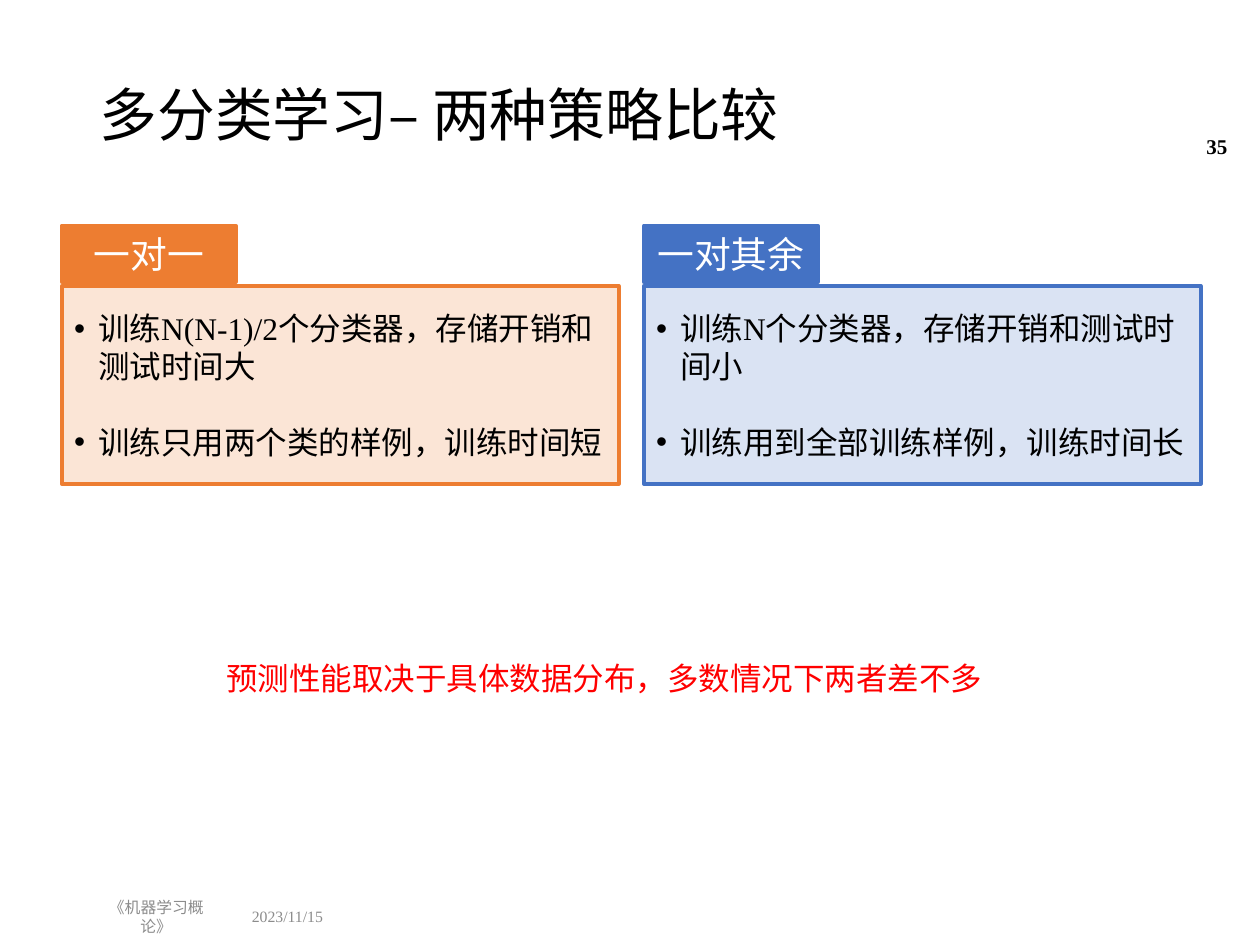
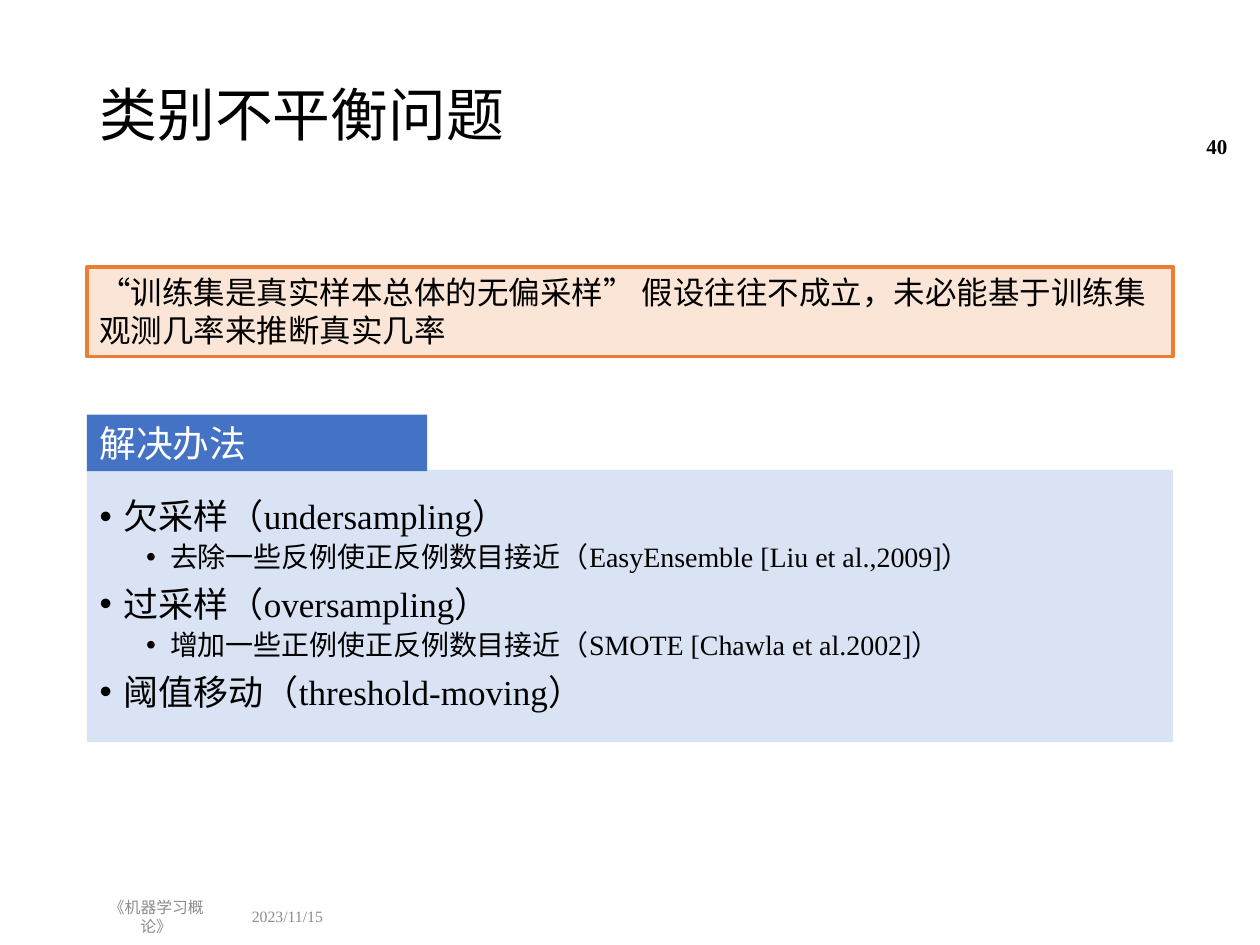
"""Builds two lecture slides on multi-class strategies and class imbalance."""
from lxml import etree
from pptx import Presentation
from pptx.dml.color import RGBColor
from pptx.enum import shapes, text
from pptx.oxml import ns
from pptx.util import Inches, Pt

BLACK = RGBColor(0x00, 0x00, 0x00)
WHITE = RGBColor(0xFF, 0xFF, 0xFF)
GRAY = RGBColor(0x8C, 0x8C, 0x8C)
RED = RGBColor(0xFF, 0x00, 0x00)
ORANGE = RGBColor(0xED, 0x7D, 0x31)
PALE_ORANGE = RGBColor(0xFB, 0xE5, 0xD6)
BLUE = RGBColor(0x44, 0x72, 0xC4)
PALE_BLUE = RGBColor(0xDA, 0xE3, 0xF3)
LATIN, CJK = "Times New Roman", "Noto Sans CJK SC"
LEFT, CENTER, RIGHT = text.PP_ALIGN.LEFT, text.PP_ALIGN.CENTER, text.PP_ALIGN.RIGHT
TOP, MIDDLE = text.MSO_ANCHOR.TOP, text.MSO_ANCHOR.MIDDLE
MARGIN, CONTENT_WIDTH = 0.69, 8.62


def write(paragraph, words, size=18, color=BLACK, font=LATIN, bold=False,
          align=LEFT, spacing=1.0, before=0, bullet_indent=None):
    run = paragraph.add_run()
    run.text = words
    run.font.size = Pt(size)
    run.font.bold = bold
    run.font.color.rgb = color
    run.font.name = font
    etree.SubElement(run.font._element, ns.qn("a:ea"), typeface=CJK)
    paragraph.alignment = align
    paragraph.line_spacing = spacing
    paragraph.space_before = Pt(before)
    if bullet_indent is not None:
        properties = paragraph._p.get_or_add_pPr()
        properties.set("marL", str(Inches(bullet_indent)))
        properties.set("indent", str(Inches(-0.19)))
        etree.SubElement(properties, ns.qn("a:buFont"), typeface="Arial")
        etree.SubElement(properties, ns.qn("a:buChar"), char="•")


def add_panel(slide, left, top, width, height, fill=None, outline=None, anchor=TOP, wrap=True):
    panel = slide.shapes.add_shape(shapes.MSO_SHAPE.RECTANGLE, Inches(left), Inches(top),
                                   Inches(width), Inches(height))
    panel.shadow.inherit = False
    if fill is None:
        panel.fill.background()
    else:
        panel.fill.solid()
        panel.fill.fore_color.rgb = fill
    if outline is None:
        panel.line.fill.background()
    else:
        panel.line.color.rgb = outline
        panel.line.width = Pt(2.25)
    panel.text_frame.vertical_anchor = anchor
    panel.text_frame.word_wrap = wrap
    return panel.text_frame


deck = Presentation()
deck.slide_width, deck.slide_height = Inches(10), Inches(7.5)
comparison = deck.slides.add_slide(deck.slide_layouts[5])
imbalance = deck.slides.add_slide(deck.slide_layouts[1])

headings = [
    (comparison, "35", [("多分类学习", LATIN), ("– ", CJK), ("两种策略比较", LATIN)]),
    (imbalance, "40", [("类别不平衡问题", LATIN)]),
]
for slide, number, title_parts in headings:
    title = slide.shapes.title
    title.left, title.top = Inches(MARGIN), Inches(0.4)
    title.width, title.height = Inches(CONTENT_WIDTH), Inches(1.07)
    title.text_frame.vertical_anchor = MIDDLE
    title.text_frame.auto_size = text.MSO_AUTO_SIZE.NONE
    for words, font in title_parts:
        write(title.text_frame.paragraphs[0], words, size=33, font=font, spacing=0.9)

    date = add_panel(slide, 1.9, 7.13, 0.91, 0.29, anchor=MIDDLE)
    write(date.paragraphs[0], "2023/11/15", size=9, color=GRAY)
    course = add_panel(slide, MARGIN, 7.13, 1.1, 0.29, anchor=MIDDLE)
    write(course.paragraphs[0], "《机器学习概论》", size=9, color=GRAY, align=CENTER)
    page = add_panel(slide, 9.15, 0.96, 0.69, 0.4, anchor=MIDDLE)
    write(page.paragraphs[0], number, size=12, bold=True, align=RIGHT)

strategies = [
    ("一对一", ORANGE, PALE_ORANGE,
     "训练N(N-1)/2个分类器，存储开销和测试时间大", "训练只用两个类的样例，训练时间短"),
    ("一对其余", BLUE, PALE_BLUE,
     "训练N个分类器，存储开销和测试时间小", "训练用到全部训练样例，训练时间长"),
]
for column, (name, strong, pale, storage, training) in enumerate(strategies):
    left = 0.49 + column * 4.62
    tab = add_panel(comparison, left, 1.79, 1.38, 0.45, strong, strong, wrap=False)
    write(tab.paragraphs[0], name, size=21, color=WHITE, align=CENTER)
    traits = add_panel(comparison, left, 2.27, 4.42, 1.57, pale, strong, anchor=MIDDLE)
    write(traits.paragraphs[0], storage, bullet_indent=0.19)
    write(traits.add_paragraph(), training, before=21.5, bullet_indent=0.19)

conclusion = add_panel(comparison, 1.56, 5.18, 6.47, 0.4)
write(conclusion.paragraphs[0], "预测性能取决于具体数据分布，多数情况下两者差不多",
      color=RED, align=CENTER)

remedies = imbalance.placeholders[1]
remedies.left, remedies.top = Inches(MARGIN), Inches(3.73)
remedies.width, remedies.height = Inches(CONTENT_WIDTH), Inches(2.16)
remedies.fill.solid()
remedies.fill.fore_color.rgb = PALE_BLUE
remedies.text_frame.vertical_anchor = MIDDLE
remedies.text_frame.auto_size = text.MSO_AUTO_SIZE.NONE
remedy_lines = [
    (0, "欠采样（undersampling）"),
    (1, "去除一些反例使正反例数目接近（EasyEnsemble [Liu et al.,2009]）"),
    (0, "过采样（oversampling）"),
    (1, "增加一些正例使正反例数目接近（SMOTE [Chawla et al.2002]）"),
    (0, "阈值移动（threshold-moving）"),
]
for position, (level, words) in enumerate(remedy_lines):
    frame = remedies.text_frame
    paragraph = frame.add_paragraph() if position else frame.paragraphs[0]
    paragraph.level = level
    size, before, indent = [(20, 7.5, 0.19), (16, 3.8, 0.56)][level]
    write(paragraph, words, size=size, spacing=0.9, before=before, bullet_indent=indent)

assumption = add_panel(imbalance, MARGIN, 2.12, CONTENT_WIDTH, 0.71, PALE_ORANGE, ORANGE)
write(assumption.paragraphs[0],
      "“训练集是真实样本总体的无偏采样” 假设往往不成立，未必能基于训练集观测几率来推断真实几率")
remedy_heading = add_panel(imbalance, MARGIN, 3.29, 2.7, 0.45, BLUE)
write(remedy_heading.paragraphs[0], "解决办法", size=21, color=WHITE)

deck.save("out.pptx")
